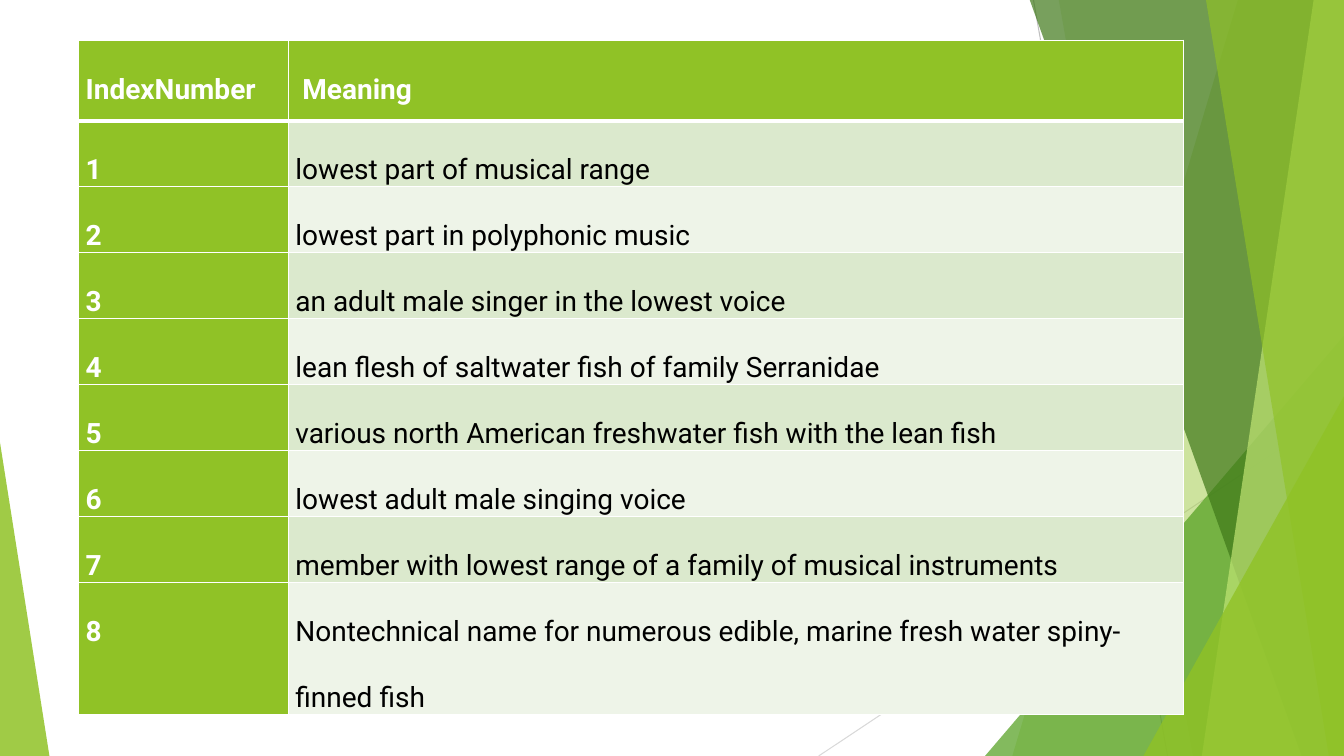
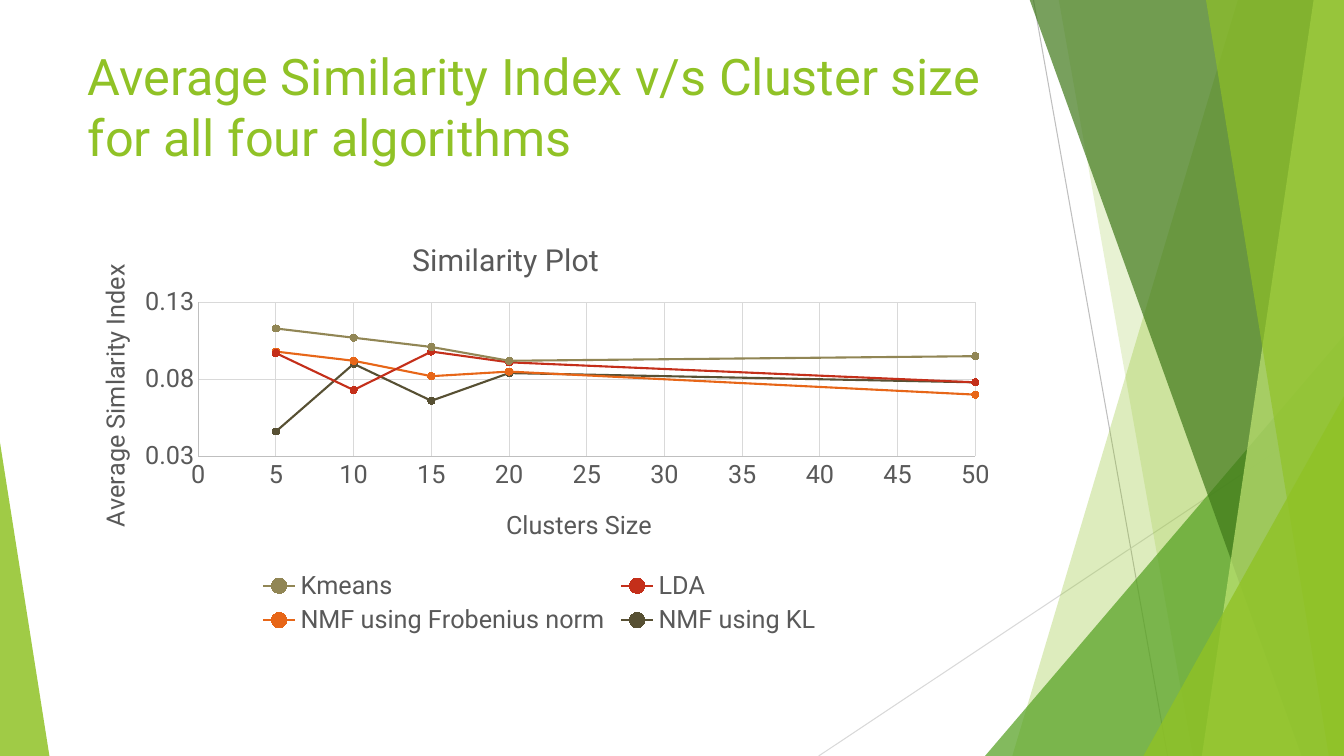
from dataclasses import dataclass

from lxml.etree import SubElement
from pptx import Presentation
from pptx.chart.data import XyChartData
from pptx.dml.color import RGBColor
from pptx.enum.chart import XL_CHART_TYPE as ChartType
from pptx.enum.chart import XL_LEGEND_POSITION as LegendPosition
from pptx.enum.chart import XL_MARKER_STYLE as MarkerStyle
from pptx.enum.chart import XL_TICK_MARK as TickMark
from pptx.enum.shapes import MSO_CONNECTOR as Connector
from pptx.enum.shapes import MSO_SHAPE as Shape
from pptx.enum.text import MSO_ANCHOR as Anchor
from pptx.oxml.ns import qn
from pptx.util import Inches, Pt


@dataclass(frozen=True)
class Theme:
    """Colours and type sizes of the presentation."""
    font: str = "Roboto"
    green: str = "90C226"
    leaf: str = "54A021"
    forest: str = "3F7819"
    lime: str = "C0E474"
    stripe_dark: str = "DBE9CD"
    stripe_light: str = "EEF4E8"
    white: str = "FFFFFF"
    black: str = "000000"
    chart_text: str = "595959"
    axis: str = "BFBFBF"
    grid: str = "D9D9D9"
    series: tuple = ("918655", "C42F1A", "E76618", "575033")
    title_size: float = 36
    cell_size: float = 20
    chart_title_size: float = 21.6
    chart_size: float = 18


@dataclass(frozen=True)
class Box:
    """A region of the slide, in inches."""
    left: float
    top: float
    width: float
    height: float

    @property
    def right(self):
        """Right edge."""
        return self.left + self.width

    @property
    def bottom(self):
        """Bottom edge."""
        return self.top + self.height

    def lengths(self):
        """Left, top, width and height as lengths."""
        return [Inches(v) for v in (self.left, self.top, self.width, self.height)]


THEME = Theme()
PAGE = Box(0, 0, 13.33, 7.5)

MEANINGS = [
    "lowest part of musical range",
    "lowest part in polyphonic music",
    "an adult male singer in the lowest voice",
    "lean flesh of saltwater fish of family Serranidae",
    "various north American freshwater fish with the lean fish",
    "lowest adult male singing voice",
    "member with lowest range of a family of musical instruments",
    "Nontechnical name for numerous edible, marine fresh water spiny- finned fish",
]
CLUSTER_SIZES = (5, 10, 15, 20, 50)
SIMILARITY = {
    "Kmeans": (0.113, 0.107, 0.101, 0.092, 0.095),
    "LDA": (0.097, 0.073, 0.098, 0.091, 0.078),
    "NMF using Frobenius norm": (0.098, 0.092, 0.082, 0.085, 0.07),
    "NMF using KL": (0.046, 0.09, 0.066, 0.084, 0.078),
}


def rgb(code):
    """Colour from its hex code."""
    return RGBColor.from_string(code)


def style_font(font, size, color, bold=False):
    """Apply the theme font with a size and colour."""
    font.name, font.size, font.bold = THEME.font, Pt(size), bold
    font.color.rgb = rgb(color)


def style_line(line, color, width):
    """Give a line its colour and width."""
    line.color.rgb = rgb(color)
    line.width = Pt(width)


def paint(shape, color, opacity):
    """Fill a shape with a translucent colour and drop outline and shadow."""
    shape.shadow.inherit = False
    shape.fill.solid()
    shape.fill.fore_color.rgb = rgb(color)
    shape.line.fill.background()
    tint = shape._element.spPr.find(qn("a:solidFill")).find(qn("a:srgbClr"))
    SubElement(tint, qn("a:alpha"), val=str(opacity * 1000))


def add_ray(slide, start, end, color):
    """Draw a thin straight line."""
    ray = slide.shapes.add_connector(
        Connector.STRAIGHT, *(Inches(v) for v in (*start, *end)))
    style_line(ray.line, color, 0.75)
    SubElement(ray._element.spPr, qn("a:effectLst"))


def add_shard(slide, box, top_x, bottom_x, color, opacity):
    """Draw a band from a slanted left edge to the right edge of the box."""
    top = box.top - 0.01
    corners = [(top_x, top), (box.right, top), (box.right, box.bottom),
               (bottom_x, box.bottom)]
    points = [(Inches(x), Inches(y)) for x, y in corners]
    outline = slide.shapes.build_freeform(*points[0], scale=1.0)
    outline.add_line_segments(points[1:], close=True)
    paint(outline.convert_to_shape(), color, opacity)


def add_wedge(slide, box, peak, color, opacity):
    """Draw a triangle whose peak sits at a share of the box width."""
    wedge = slide.shapes.add_shape(Shape.ISOSCELES_TRIANGLE, *box.lengths())
    wedge.adjustments[0] = peak
    paint(wedge, color, opacity)


def add_backdrop(slide, box):
    """Draw the green facets shared by all slides."""
    def corner(width, height):
        return Box(box.right - width, box.bottom - height, width, height)

    add_ray(slide, (10.25, box.top), (11.58, box.bottom), THEME.axis)
    add_ray(slide, (box.right, 4.03), (8.12, box.bottom), THEME.grid)
    add_shard(slide, box, 12.28, 10.04, THEME.green, 30)
    add_shard(slide, box, 10.5, 11.83, THEME.green, 20)
    add_wedge(slide, corner(3.56, 4.17), 1, THEME.leaf, 72)
    add_shard(slide, box, 10.21, 12.91, THEME.forest, 70)
    add_shard(slide, box, 13.03, 11.92, THEME.lime, 70)
    add_shard(slide, box, 11.96, 13.18, THEME.green, 65)
    add_wedge(slide, corner(1.99, 3.57), 1, THEME.green, 80)
    add_wedge(slide, Box(box.left, box.bottom - 3.11, 0.49, 3.11), 0, THEME.green, 85)


def add_title(slide, box, text):
    """Write the slide title."""
    frame = slide.shapes.add_textbox(*box.lengths()).text_frame
    frame.word_wrap = True
    frame.text = text
    style_font(frame.paragraphs[0].runs[0].font, THEME.title_size, THEME.green)


def border_cell(cell, **widths):
    """Draw white cell borders; widths are keyed by side L, R, T, B."""
    properties = cell._tc.get_or_add_tcPr()
    for side, width in widths.items():
        edge = SubElement(properties, qn(f"a:ln{side}"), w=str(Pt(width)))
        SubElement(SubElement(edge, qn("a:solidFill")), qn("a:srgbClr"), val=THEME.white)


def fill_cell(cell, text, fill, color, bold, **widths):
    """Write one table cell with its borders and fill."""
    cell.margin_left = cell.margin_right = Inches(0.07)
    cell.margin_top = cell.margin_bottom = 0
    cell.vertical_anchor = Anchor.TOP
    border_cell(cell, **widths)
    cell.fill.solid()
    cell.fill.fore_color.rgb = rgb(fill)
    cell.text = text
    paragraph = cell.text_frame.paragraphs[0]
    paragraph.line_spacing = 2.0
    style_font(paragraph.runs[0].font, THEME.cell_size, color, bold)


def add_meanings(slide, box):
    """Build the table of numbered meanings."""
    entries = [("IndexNumber", " Meaning")]
    entries += [(str(n), meaning) for n, meaning in enumerate(MEANINGS, 1)]
    table = slide.shapes.add_table(len(entries), 2, *box.lengths()).table
    table.first_row = table.horz_banding = False
    index_width = 2.08
    for column, width in zip(table.columns, (index_width, box.width - index_width)):
        column.width = Inches(width)
    heights = [0.8] + [0.62] * (len(entries) - 2) + [1.12]
    for row, entry in enumerate(entries):
        table.rows[row].height = Inches(heights[row])
        stripe = THEME.stripe_dark if row % 2 else THEME.stripe_light
        for column, text in enumerate(entry):
            heading = row == 0 or column == 0
            fill_cell(table.cell(row, column), text,
                      THEME.green if heading else stripe,
                      THEME.white if heading else THEME.black, heading,
                      L=1, R=1, T=3 if row == 1 else 1, B=3 if row == 0 else 1)


def place_part(part, **shares):
    """Set the manual layout of a chart part as shares of the chart."""
    layout = part.find(qn("c:layout"))
    if layout is None:
        layout = part.makeelement(qn("c:layout"))
        part.insert(0 if part.find(qn("c:tx")) is None else 1, layout)
    manual = SubElement(layout, qn("c:manualLayout"))
    if "w" in shares:
        SubElement(manual, qn("c:layoutTarget"), val="inner")
    for axis in "xy":
        SubElement(manual, qn(f"c:{axis}Mode"), val="edge")
    for name, share in shares.items():
        SubElement(manual, qn(f"c:{name}"), val=str(share))


def caption(title, text, size, x, y):
    """Write a chart or axis title and place it."""
    title.text_frame.text = text
    style_font(title.text_frame.paragraphs[0].runs[0].font, size, THEME.chart_text)
    place_part(title._element, x=x, y=y)


def style_axis(axis, low, high, step, number_format):
    """Give an axis its scale, grid and labels."""
    axis.minimum_scale, axis.maximum_scale, axis.major_unit = low, high, step
    axis.major_tick_mark = axis.minor_tick_mark = TickMark.NONE
    axis.has_major_gridlines = True
    style_line(axis.major_gridlines.format.line, THEME.grid, 0.75)
    style_line(axis.format.line, THEME.axis, 0.75)
    axis.tick_labels.number_format = number_format
    axis.tick_labels.number_format_is_linked = False
    style_font(axis.tick_labels.font, THEME.chart_size, THEME.chart_text)


def add_similarity_plot(slide, box):
    """Build the scatter chart of similarity against cluster size."""
    data = XyChartData()
    for algorithm, indexes in SIMILARITY.items():
        points = data.add_series(algorithm)
        for size, index in zip(CLUSTER_SIZES, indexes):
            points.add_data_point(size, index)
    chart = slide.shapes.add_chart(
        ChartType.XY_SCATTER_LINES, *box.lengths(), data).chart
    style_font(chart.font, THEME.chart_size, THEME.black)
    sizes, similarity = chart.category_axis, chart.value_axis
    style_axis(sizes, 0, 50, 5, "0")
    style_axis(similarity, 0.03, 0.13, 0.05, "0.00")
    caption(chart.chart_title, "Similarity Plot", THEME.chart_title_size, 0.36, 0.05)
    caption(sizes.axis_title, "Clusters Size", THEME.chart_size, 0.46, 0.68)
    caption(similarity.axis_title, "Average Simlarity Index", THEME.chart_size, 0.03, 0.11)
    plot_area = chart._chartSpace.chart.plotArea
    place_part(plot_area, x=0.14, y=0.21, w=0.82, h=0.36)
    chart.has_legend = True
    chart.legend.position = LegendPosition.BOTTOM
    chart.legend.include_in_layout = False
    style_font(chart.legend.font, THEME.chart_size, THEME.chart_text)
    chart.plots[0].vary_by_categories = False
    for algorithm, color in zip(chart.plots[0].series, THEME.series):
        algorithm.smooth = False
        style_line(algorithm.format.line, color, 1.5)
        marker = algorithm.marker
        marker.style, marker.size = MarkerStyle.CIRCLE, 5
        marker.format.fill.solid()
        marker.format.fill.fore_color.rgb = rgb(color)
        style_line(marker.format.line, color, 0.75)


def add_slide(deck):
    """Add a blank slide with the shared backdrop."""
    slide = deck.slides.add_slide(deck.slide_layouts[6])
    add_backdrop(slide, PAGE)
    return slide


def main():
    """Build and save the presentation."""
    deck = Presentation()
    deck.slide_width, deck.slide_height = Inches(PAGE.width), Inches(PAGE.height)
    add_meanings(add_slide(deck), Box(0.78, 0.4, 10.96, 6.28))
    results = add_slide(deck)
    add_title(results, Box(0.77, 0.4, 9.4, 1.44),
              "Average Similarity Index v/s Cluster size for all four algorithms")
    add_similarity_plot(results, Box(0.65, 2.11, 9.4, 4.24))
    deck.save("out.pptx")


main()
